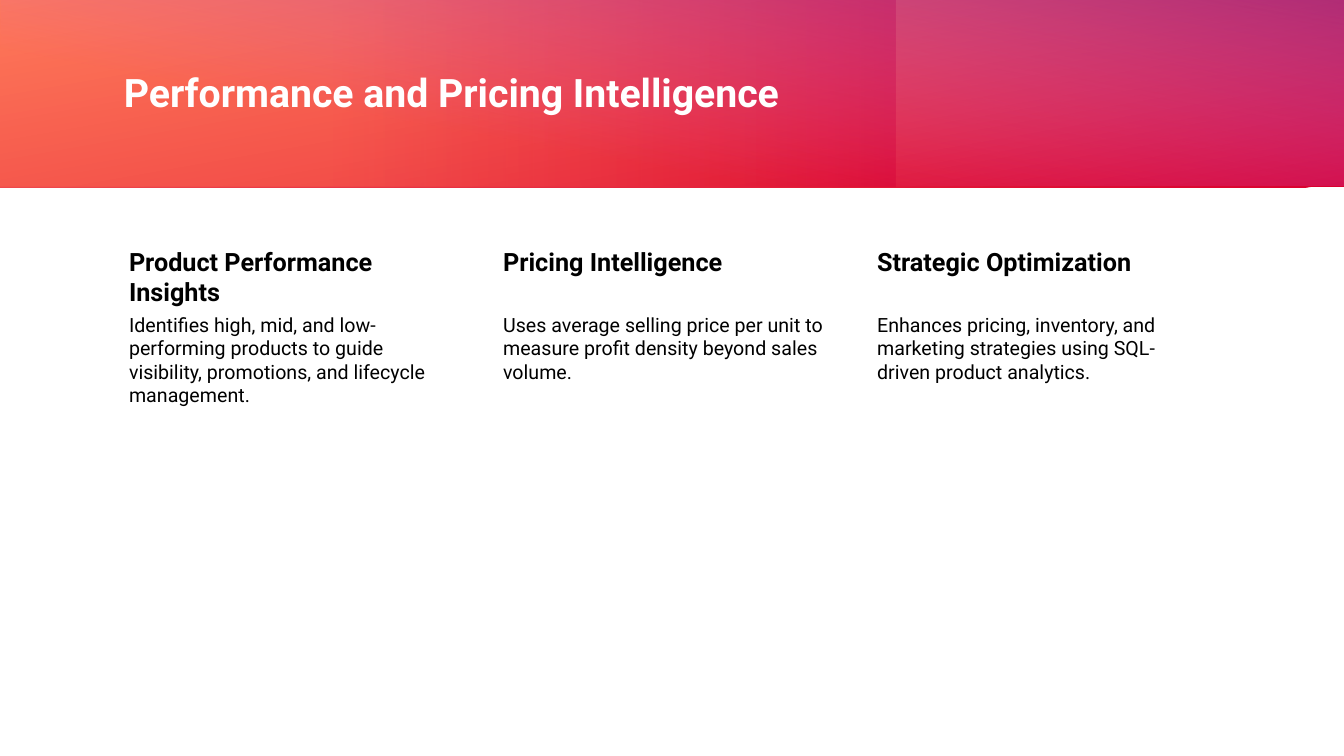
from pptx import Presentation
from pptx.dml.color import RGBColor
from pptx.enum.shapes import MSO_SHAPE as Shape
from pptx.enum.text import MSO_ANCHOR as Anchor
from pptx.oxml.ns import qn
from pptx.util import Inches, Pt
from lxml.etree import SubElement

WHITE = RGBColor(0xFF, 0xFF, 0xFF)
BLACK = RGBColor(0x00, 0x00, 0x00)
CRIMSON = RGBColor(0xDA, 0x00, 0x2F)
PEACH = RGBColor(0xFF, 0x84, 0x63)
CORAL = RGBColor(0xFF, 0x6C, 0x4F)
ORCHID = RGBColor(0xD8, 0x61, 0xD4)
PURPLE = RGBColor(0x93, 0x25, 0x8E)

TITLE = "Performance and Pricing Intelligence"
COLUMNS = [
    ("Product Performance Insights",
     "Identifies high, mid, and low-performing products to guide visibility, "
     "promotions, and lifecycle management."),
    ("Pricing Intelligence",
     "Uses average selling price per unit to measure profit density beyond sales volume."),
    ("Strategic Optimization",
     "Enhances pricing, inventory, and marketing strategies using SQL-driven product analytics."),
]
BANNER_LAYERS = [
    ((-0.01, 0, 13.35, 1.86), 100, [(0, CRIMSON, 100), (100, PEACH, 100)]),
    ((-0.01, 0, 8.89, 1.85), 0, [(37, CORAL, 42), (99, CRIMSON, 50)]),
    ((0.01, -0.01, 13.34, 1.85), 80, [(32, ORCHID, 0), (100, PURPLE, 66)]),
]

SLIDE_WIDTH, SLIDE_HEIGHT = 13.33, 7.5
MARGIN = 1.13
COLUMN_WIDTH, COLUMN_GAP = 3.37, 0.34
HEADING_TOP, HEADING_HEIGHT, BODY_HEIGHT = 2.41, 0.67, 3.78

TITLE_FONT = {"size": Pt(28), "bold": True}
HEADING_FONT = {"size": Pt(18), "bold": True}
BODY_FONT = {"size": Pt(14), "bold": False}


def add_banner_layer(slide, box, angle, stops):
    shape = slide.shapes.add_shape(Shape.RECTANGLE, *map(Inches, box))
    shape.shadow.inherit = False
    shape.line.fill.background()
    shape.fill.gradient()
    shape.fill.gradient_angle = angle
    for stop, (position, color, _) in zip(shape.fill.gradient_stops, stops):
        stop.position = position / 100
        stop.color.rgb = color
    colors = shape.element.spPr.iter(qn("a:srgbClr"))
    for element, (_, _, opacity) in zip(list(colors), stops):
        if opacity < 100:
            SubElement(element, qn("a:alpha")).set("val", str(opacity * 1000))


def add_text(slide, box, text, font, color=BLACK, insets=(0.1, 0.05, 0.1, 0.05),
             anchor=Anchor.TOP, line_spacing=1.0):
    frame = slide.shapes.add_textbox(*map(Inches, box)).text_frame
    frame.word_wrap = True
    frame.vertical_anchor = anchor
    for side, inset in zip(("left", "top", "right", "bottom"), insets):
        setattr(frame, f"margin_{side}", Inches(inset))
    paragraph = frame.paragraphs[0]
    paragraph.line_spacing = line_spacing
    run = paragraph.add_run()
    run.text = text
    for name, value in {"name": "Roboto", **font}.items():
        setattr(run.font, name, value)
    run.font.color.rgb = color


def main():
    presentation = Presentation()
    presentation.slide_width = Inches(SLIDE_WIDTH)
    presentation.slide_height = Inches(SLIDE_HEIGHT)
    slide = presentation.slides.add_slide(presentation.slide_layouts[6])

    for layer in BANNER_LAYERS:
        add_banner_layer(slide, *layer)
    add_text(slide, (MARGIN, 0.38, 10.8, 1.13), TITLE, TITLE_FONT, WHITE,
             anchor=Anchor.MIDDLE, line_spacing=0.9)

    for index, (heading, body) in enumerate(COLUMNS):
        left = MARGIN + index * (COLUMN_WIDTH + COLUMN_GAP)
        add_text(slide, (left, HEADING_TOP, COLUMN_WIDTH, HEADING_HEIGHT),
                 heading, HEADING_FONT, insets=(0.15, 0.03, 0.03, 0.03))
        add_text(slide, (left, HEADING_TOP + HEADING_HEIGHT, COLUMN_WIDTH, BODY_HEIGHT),
                 body, BODY_FONT, insets=(0.15, 0.02, 0.02, 0.02))

    presentation.save("out.pptx")


if __name__ == "__main__":
    main()
